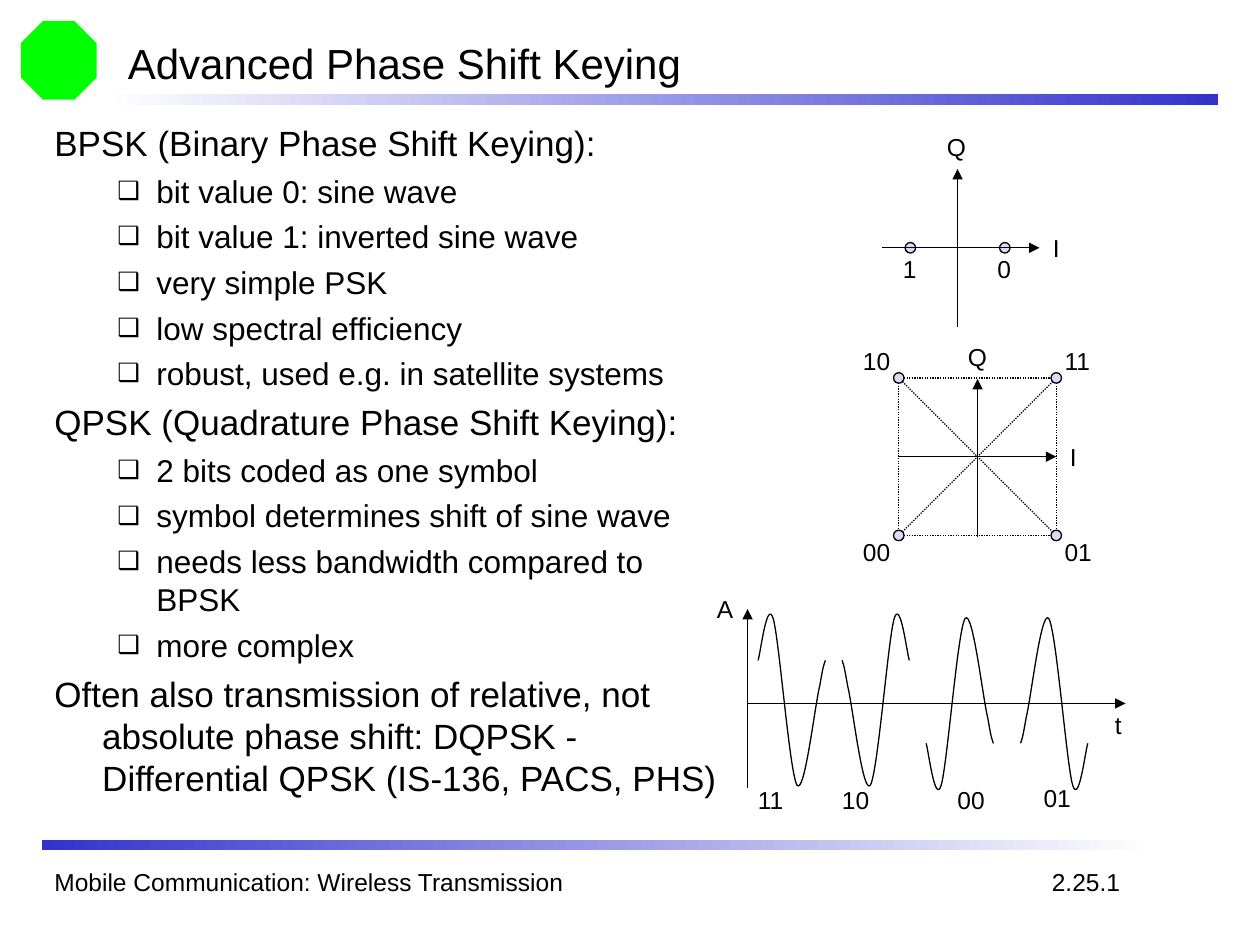
import itertools
import pptx
import pptx.util
import pptx.dml.color
import pptx.enum.dml
import pptx.enum.shapes
import pptx.enum.text
import pptx.oxml.ns
from lxml import etree

# Content; all places are in grid units, 120 columns by 90 rows
INK = {"text": "000000", "bar": "3333CC", "page": "FFFFFF", "dot": "DADAF6", "mark": "00FF00"}
TITLE = "Advanced Phase Shift Keying"
FOOT = "Mobile Communication: Wireless Transmission"
BODY = [
    ("BPSK (Binary Phase Shift Keying):", [
        "bit value 0: sine wave",
        "bit value 1: inverted sine wave",
        "very simple PSK",
        "low spectral efficiency",
        "robust, used e.g. in satellite systems"]),
    ("QPSK (Quadrature Phase Shift Keying):", [
        "2 bits coded as one symbol",
        "symbol determines shift of sine wave",
        "needs less bandwidth compared to BPSK",
        "more complex"]),
    ("Often also transmission of relative, not absolute phase shift: "
     "DQPSK - Differential QPSK (IS-136, PACS, PHS)", []),
]
BARS = [(10, 9, "page", "bar"), (4, 80, "bar", "page")]
LABELS = [
    ("Q", 89, 12), ("I", 99.1, 21.6), ("0", 93.8, 23.6), ("1", 84.8, 23.6),
    ("Q", 91, 32), ("I", 100.7, 41.5), ("10", 81, 32.4), ("11", 100.2, 32.4),
    ("00", 81, 50.6), ("01", 100.2, 50.6),
    ("A", 67.1, 56), ("t", 105, 67),
    ("11", 71, 74.2), ("10", 79, 74.2), ("00", 90, 74.2), ("01", 98.2, 74),
    ("2.25.1", 99, 82),
]
WIDE = {"Q": 4.2, "I": 3, "A": 4, "t": 3, "0": 3.7, "1": 3.7, "2.25.1": 8.9}
PAIR = 5.2  # width of a two-digit label
AXES = [
    (91.2, 31.1, 91.2, 16.1), (84, 23.6, 99, 23.6),
    (93.1, 51.1, 93.1, 36.1), (85.6, 43.5, 100.6, 43.5),
    (71.2, 75, 71.2, 58), (71.2, 67, 107.2, 67),
]
BITS = [(91.2 - 4.5, 23.6), (91.2 + 4.5, 23.6)]
QUAD = [(93.1 + x, 43.5 + y) for x, y in itertools.product((-7.5, 7.5), repeat=2)]

# One wave as joined cubic curves; the others are its mirror images
BOX = (6.4, 18.7)
CURVE = [(0, 5.9), (0.24, 5.2), (0.84, 0), (1.44, 1.9), (2.04, 4), (3, 16.7), (3.72, 17.8),
         (4.44, 18.7), (5.4, 10.2), (5.88, 8.3), (6.24, 6.2), (6.24, 6.4), (6.4, 5.9)]
WAVES = [(72.2, 57, 0, 0), (80.2, 57, 1, 0), (88.2, 58, 0, 1), (97.2, 58, 1, 1)]

prs = pptx.Presentation()
prs.slide_width, prs.slide_height = pptx.util.Inches(10), pptx.util.Inches(7.5)
UNIT = prs.slide_width / 120
page = prs.slides.add_slide(prs.slide_layouts[6])
FORM = pptx.enum.shapes.MSO_SHAPE
qn = pptx.oxml.ns.qn


def emu(*vals):
    return [round(v * UNIT) for v in vals]


def rgb(name):
    return pptx.dml.color.RGBColor.from_string(INK[name])


def pen(line):
    line.color.rgb = rgb("text")
    line.width = pptx.util.Pt(0.75)


def run(para, text, size):
    part = para.add_run()
    part.text = text
    part.font.size, part.font.name = pptx.util.Pt(size), "Arial"
    part.font.color.rgb = rgb("text")


def box(left, top, width, height, wrap=True):
    frame = page.shapes.add_textbox(*emu(left, top, width, height)).text_frame
    frame.word_wrap = wrap
    return frame


def solid(form, left, top, width, height, color):
    shape = page.shapes.add_shape(form, *emu(left, top, width, height))
    shape.shadow.inherit = False
    shape.fill.solid()
    shape.fill.fore_color.rgb = rgb(color)
    shape.line.fill.background()
    return shape


def line(x1, y1, x2, y2, arrow=False):
    link = page.shapes.add_connector(
        pptx.enum.shapes.MSO_CONNECTOR.STRAIGHT, *emu(x1, y1, x2, y2))
    pen(link.line)
    if arrow:
        etree.SubElement(link.line._get_or_add_ln(), qn("a:tailEnd"), type="triangle")
    else:
        link.line.dash_style = pptx.enum.dml.MSO_LINE.ROUND_DOT
    etree.SubElement(link._element.spPr, qn("a:effectLst"))


def dot(x, y):
    pen(solid(FORM.FLOWCHART_CONNECTOR, x - 0.5, y - 0.5, 1, 1, "dot").line)


def wave(left, top, flipx, flipy):
    pts = [emu(left + (BOX[0] - x if flipx else x), top + (BOX[1] - y if flipy else y))
           for x, y in CURVE]
    form = page.shapes.build_freeform(*pts[0])
    form.add_line_segments(pts[1:], close=False)
    shape = form.convert_to_shape()
    # Every three straight steps become one cubic curve
    steps = list(shape._element.iter(qn("a:lnTo")))
    for i in range(0, len(steps), 3):
        bend = etree.Element(qn("a:cubicBezTo"))
        steps[i].addprevious(bend)
        for step in steps[i:i + 3]:
            bend.append(step[0])
            step.getparent().remove(step)
    shape.shadow.inherit = False
    shape.fill.background()
    pen(shape.line)


def item(frame, text, sub, first=False):
    para = frame.paragraphs[0] if first else frame.add_paragraph()
    props = para._p.get_or_add_pPr()
    margin, hang = (0.81, 0.31) if sub else (0.38, 0.38)
    props.set("marL", str(pptx.util.Inches(margin)))
    props.set("indent", str(-pptx.util.Inches(hang)))
    if sub:
        para.level = 1
        etree.SubElement(props, qn("a:buSzPct"), val="80000")
        etree.SubElement(props, qn("a:buFont"), typeface="Arial")
        etree.SubElement(props, qn("a:buChar"), char="❑")
    if not first:
        para.space_before = pptx.util.Pt(4.5 if sub else 5)
    run(para, text, 18 if sub else 20)


# Plain corner mark and fading bars
solid(FORM.OCTAGON, 2, 2, 7.2, 7.5, "mark")
for left, top, *ends in BARS:
    fill = solid(FORM.RECTANGLE, left, top, 106, 1, "bar").fill
    fill.gradient()
    fill.gradient_angle = 0
    for stop, name in zip(fill.gradient_stops, ends):
        stop.color.rgb = rgb(name)

# Title, footer and body
head = box(11, 3, 102, 6)
head.vertical_anchor = pptx.enum.text.MSO_ANCHOR.MIDDLE
run(head.paragraphs[0], TITLE, 24)
run(box(4, 82, 59, 4).paragraphs[0], FOOT, 14)
body = box(4, 11, 66, 69)
for n, (topic, subs) in enumerate(BODY):
    item(body, topic, False, n == 0)
    for sub in subs:
        item(body, sub, True)

# Constellations: dotted links, points, then axes
for a, b in itertools.combinations(QUAD, 2):
    line(*a, *b)
for spot in BITS + QUAD:
    dot(*spot)
for axis in AXES:
    line(*axis, arrow=True)

# Waves over time and all labels
for spot in WAVES:
    wave(*spot)
for text, left, top in LABELS:
    run(box(left, top, WIDE.get(text, PAIR), 4, False).paragraphs[0], text, 14)

prs.save("out.pptx")
